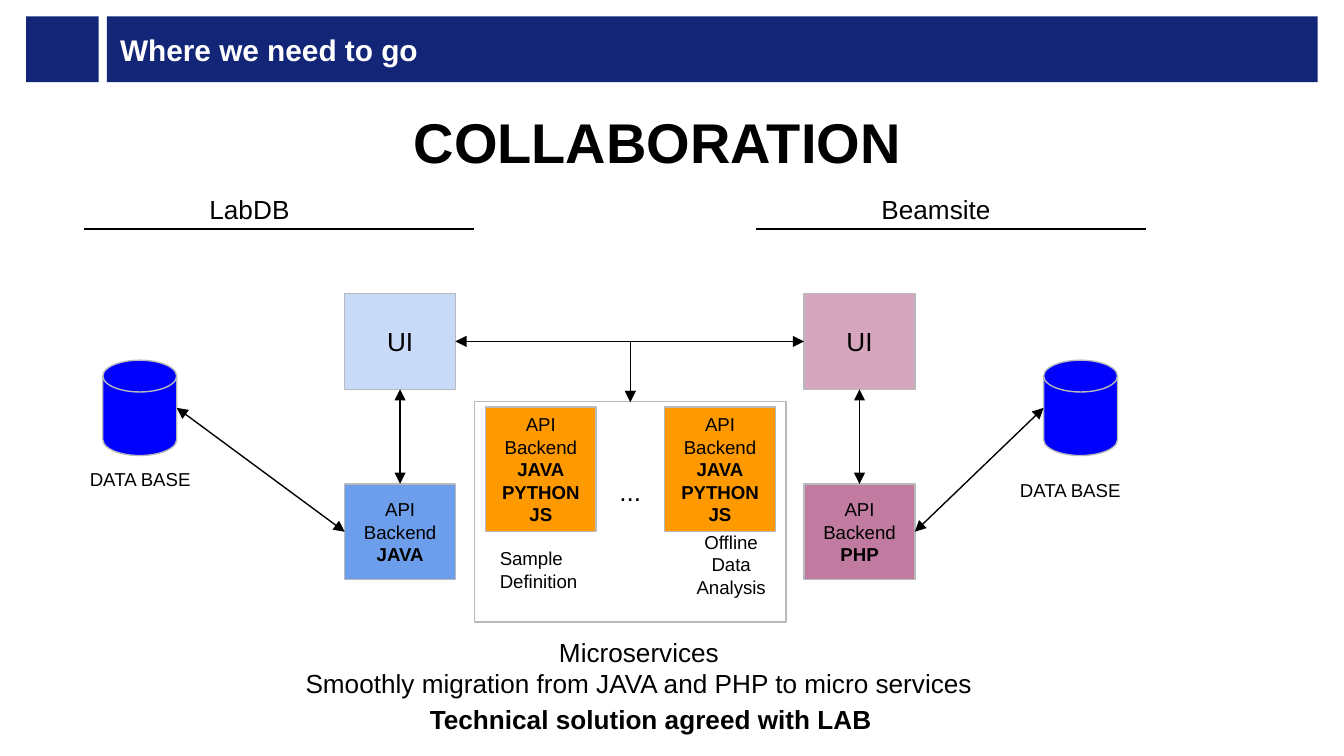
from dataclasses import dataclass
from typing import NamedTuple

from lxml.etree import SubElement as Sub
from pptx import Presentation
from pptx.dml.color import RGBColor as Color
from pptx.enum.shapes import MSO_CONNECTOR as Link, MSO_SHAPE as Form
from pptx.enum.text import MSO_ANCHOR as Anchor, PP_ALIGN as Align
from pptx.oxml.ns import qn
from pptx.util import Inches, Pt


@dataclass(frozen=True)
class Theme:
    font: str = "Arial"
    navy: str = "132577"
    white: str = "FFFFFF"
    black: str = "000000"
    edge: str = "B7B9BA"
    disk: str = "0000FF"
    service: str = "FF9900"
    small: int = 10
    body: int = 14
    title: int = 16
    hero: int = 30
    stroke: float = 0.75


class Box(NamedTuple):
    """Place and size in grid columns and rows."""
    x: float
    y: float
    w: float
    h: float

    @property
    def mid(self) -> float:
        return self.x + self.w / 2

    @property
    def right(self) -> float:
        return self.x + self.w

    @property
    def base(self) -> float:
        return self.y + self.h


@dataclass(frozen=True)
class Side:
    name: str
    head: Box
    rule: float
    stack: float
    disk: float
    label: Box
    light: str
    dark: str
    code: str


theme = Theme()
COLS, ROWS = 100, 56.25  # grid cells of a tenth of an inch

deck = Presentation()
deck.slide_width = Inches(10)
deck.slide_height = deck.slide_width * 9 // 16
slide = deck.slides.add_slide(deck.slide_layouts[6])


def col(n: float) -> int:
    return round(deck.slide_width * n / COLS)


def row(n: float) -> int:
    return round(deck.slide_height * n / ROWS)


def place(box: Box) -> tuple[int, int, int, int]:
    return col(box.x), row(box.y), col(box.w), row(box.h)


def write(shape, text: str, size: int, tone: str = theme.black, bold: int | None = None,
          align=Align.LEFT, anchor=Anchor.TOP) -> None:
    """Fill a shape with text; paragraphs from index bold onward are bold."""
    frame = shape.text_frame
    frame.text = text
    frame.word_wrap = True
    frame.vertical_anchor = anchor
    frame.margin_left = frame.margin_right = Inches(0.1)
    frame.margin_top = frame.margin_bottom = Inches(0.1)
    for i, par in enumerate(frame.paragraphs):
        par.alignment = align
        for run in par.runs:
            font = run.font
            font.name, font.size = theme.font, Pt(size)
            font.bold = bold is not None and i >= bold
            font.color.rgb = Color.from_string(tone)


def label(box: Box, text: str, size: int, **style) -> None:
    write(slide.shapes.add_textbox(*place(box)), text, size, **style)


def block(box: Box, fill: str, form=Form.RECTANGLE, edge: str | None = theme.edge):
    shape = slide.shapes.add_shape(form, *place(box))
    shape.shadow.inherit = False
    shape.fill.solid()
    shape.fill.fore_color.rgb = Color.from_string(fill)
    if edge:
        shape.line.color.rgb = Color.from_string(edge)
        shape.line.width = Pt(theme.stroke)
    else:
        shape.line.fill.background()
    return shape


def node(box: Box, fill: str, text: str, size: int = theme.small, bold: int | None = 2) -> None:
    write(block(box, fill), text, size, bold=bold, align=Align.CENTER, anchor=Anchor.MIDDLE)


def join(x1: float, y1: float, x2: float, y2: float, arrows: bool = True, bent: bool = False) -> None:
    kind = Link.ELBOW if bent else Link.STRAIGHT
    line = slide.shapes.add_connector(kind, col(x1), row(y1), col(x2), row(y2))
    line.line.color.rgb = Color.from_string(theme.black)
    line.line.width = Pt(theme.stroke)
    props = line._element.spPr
    if bent:  # one corner only
        props.find(qn("a:prstGeom")).set("prst", "bentConnector2")
    if arrows:
        for end in ("a:headEnd", "a:tailEnd"):
            Sub(props.find(qn("a:ln")), qn(end), type="triangle")
    Sub(props, qn("a:effectLst"))


# Header bar
block(Box(1.95, 1.22, 5.4, 4.9), theme.navy, edge=None)
bar = block(Box(7.95, 1.22, 90.1, 4.9), theme.navy, edge=None)
write(bar, "Where we need to go", theme.title, theme.white, bold=0, anchor=Anchor.MIDDLE)
label(Box(29.8, 7, 45.1, 6.8), "COLLABORATION", theme.hero, bold=0)

# Microservices frame
frame = Box(35.3, 29.9, 23.2, 16.4)
block(frame, theme.white)

# The two systems
sides = (
    Side("LabDB", Box(14.6, 13.4, 9.8, 4.4), 6.25, 25.65, 7.65,
         Box(5.7, 34, 11.8, 4.4), "C9DAF8", "6D9EEB", "JAVA"),
    Side("Beamsite", Box(64.6, 13.4, 14.5, 4.4), 56.25, 59.83, 77.65,
         Box(74.9, 34.8, 11.8, 4.4), "D5A6BD", "C27BA0", "PHP"),
)
for side in sides:
    top = Box(side.stack, 21.84, 8.24, 7.13)
    api = top._replace(y=36)
    disk = Box(side.disk, 26.8, 5.5, 7.1)
    label(side.head, side.name, theme.body)
    join(side.rule, 17.03, side.rule + 29, 17.03, arrows=False)
    node(top, side.light, "UI", theme.body, bold=None)
    node(api, side.dark, f"API\nBackend\n{side.code}")
    block(disk, theme.disk, Form.FLOWCHART_MAGNETIC_DISK)
    label(side.label, "DATA BASE", theme.small)
    join(top.mid, top.base, api.mid, api.y)
    left = disk.x < top.x
    join(disk.right if left else disk.x, 30.35, api.x if left else api.right, 39.57)
    join(top.right if left else top.x, 25.4, frame.mid, frame.y, bent=True)

# Services inside the frame
for x in (36.12, 49.45):
    node(Box(x, 30.3, 8.24, 9.25), theme.service, "API\nBackend\nJAVA\nPYTHON\nJS")
label(Box(36.2, 39.7, 8.2, 4.4), "Sample\nDefinition", theme.small)
label(Box(50.3, 39.8, 8.2, 4.4), "Offline\nData Analysis", theme.small,
      align=Align.CENTER, anchor=Anchor.MIDDLE)
label(Box(45.1, 34.35, 4.4, 4.9), "...", theme.body)

# Closing lines
label(Box(19.2, 46.35, 56.7, 6.8),
      "Microservices\nSmoothly migration from JAVA and PHP to micro services",
      theme.body, align=Align.CENTER)
label(Box(31, 51.35, 58.6, 4.8), "Technical solution agreed with LAB", theme.body, bold=0)

deck.save("out.pptx")
